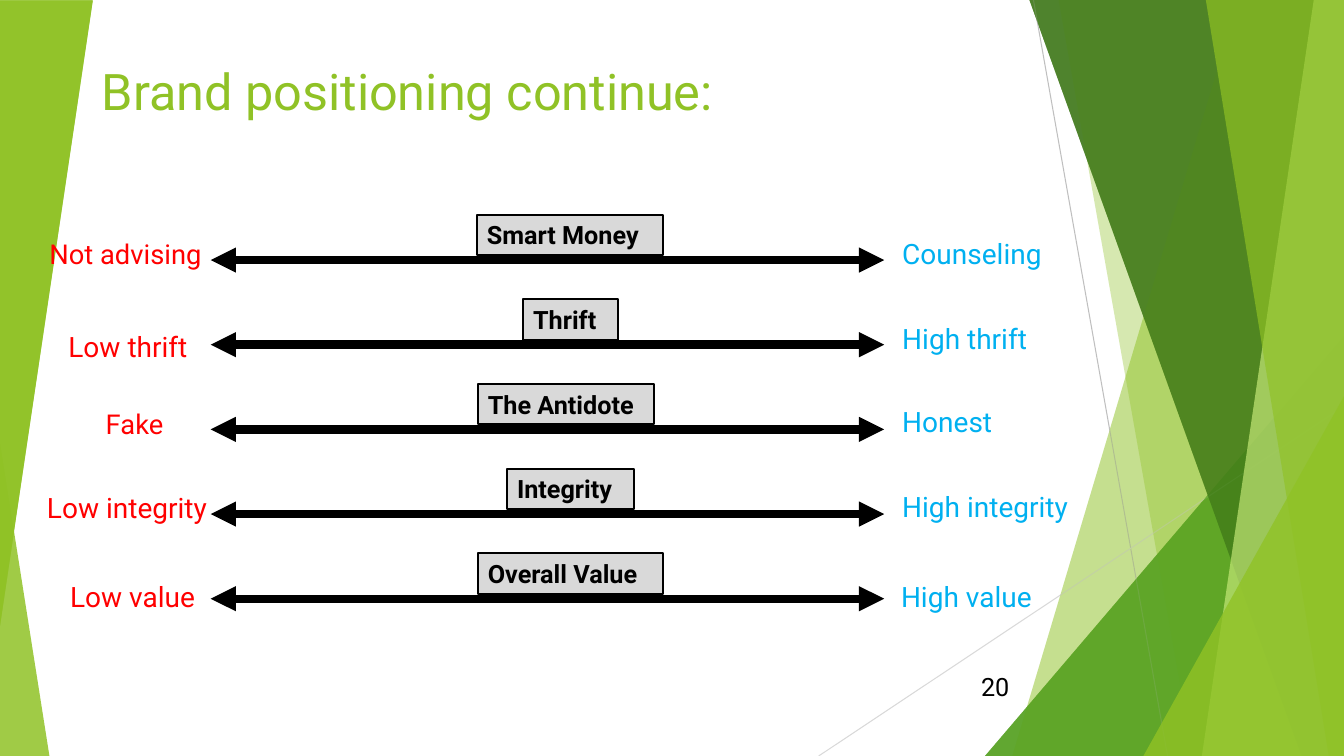
from collections import namedtuple

from lxml import etree
from pptx import Presentation
from pptx import util as u
from pptx.dml.color import RGBColor
from pptx.enum import shapes, text
from pptx.oxml import ns

LIME = RGBColor(0x90, 0xC2, 0x26)
GREEN = RGBColor(0x54, 0xA0, 0x21)
FOREST = RGBColor(0x3F, 0x78, 0x19)
PALE_LIME = RGBColor(0xC0, 0xE4, 0x74)
BLACK = RGBColor(0, 0, 0)
TAG_GREY = RGBColor(0xD9, 0xD9, 0xD9)
LINE_GREY = RGBColor(0xBF, 0xBF, 0xBF)
RED = RGBColor(0xFF, 0, 0)
BLUE = RGBColor(0, 0xB0, 0xF0)
FONT = "Roboto"
LEFT, CENTER, RIGHT = text.PP_ALIGN.LEFT, text.PP_ALIGN.CENTER, text.PP_ALIGN.RIGHT
TOP, MIDDLE, BOTTOM = text.MSO_ANCHOR.TOP, text.MSO_ANCHOR.MIDDLE, text.MSO_ANCHOR.BOTTOM

Box = namedtuple("Box", "left top width height")
Label = namedtuple("Label", "words left bottom width size align")
Tag = namedtuple("Tag", "words left width")

SCALES = [
    (Label("Not advising", 0.1, 0.15, 1.85, 19.5, LEFT), Tag("Smart Money", 4.44, 1.85),
     Label("Counseling", 8.56, 0.15, 1.85, 20, LEFT)),
    (Label("Low thrift", 0.29, 0.23, 1.65, 20, LEFT), Tag("Thrift", 4.9, 0.94),
     Label("High thrift", 8.56, 0.15, 1.85, 20, LEFT)),
    (Label("Fake", 0.66, 0.15, 0.91, 19.5, LEFT), Tag("The Antidote", 4.45, 1.75),
     Label("Honest", 8.56, 0.14, 1.85, 20, LEFT)),
    (Label("Low integrity", 0, 0.15, 1.94, 20, CENTER), Tag("Integrity", 4.74, 1.26),
     Label("High integrity", 8.56, 0.14, 1.97, 20, LEFT)),
    (Label("Low value", 0.1, 0.19, 1.85, 20, CENTER), Tag("Overall Value", 4.45, 1.84),
     Label("High value", 8.37, 0.19, 1.85, 20, CENTER)),
]


def inches(box):
    """Convert the numbers of a box to lengths."""
    return [u.Inches(value) for value in box]


def paint(shape, color, opacity=100):
    """Give a shape a plain fill without outline or shadow."""
    shape.shadow.inherit = False
    shape.line.fill.background()
    shape.fill.solid()
    shape.fill.fore_color.rgb = color
    if opacity < 100:
        fill = shape.fill._xPr.find(ns.qn("a:solidFill"))
        etree.SubElement(fill[0], ns.qn("a:alpha"), val=str(opacity * 1000))


def write(shape, words, size, color, align=LEFT, anchor=BOTTOM, bold=False):
    """Set the single paragraph of a shape."""
    frame = shape.text_frame
    frame.word_wrap = True
    frame.vertical_anchor = anchor
    para = frame.paragraphs[0]
    para.text = words
    para.alignment = align
    font = para.font
    font.name, font.size, font.bold = FONT, u.Pt(size), bold
    font.color.rgb = color


def add_text(page, box, *args, **options):
    """Add a text box."""
    write(page.shapes.add_textbox(*inches(box)), *args, **options)


def add_line(page, start, end, color, width, arrows=False):
    """Add a straight line, with arrowheads at both ends if asked."""
    line = page.shapes.add_connector(
        shapes.MSO_CONNECTOR.STRAIGHT, *inches(start + end))
    line.line.color.rgb = color
    line.line.width = u.Pt(width)
    if arrows:
        outline = line.line._get_or_add_ln()
        for name in ("a:headEnd", "a:tailEnd"):
            etree.SubElement(outline, ns.qn(name), type="triangle")
    etree.SubElement(line._element.spPr, ns.qn("a:effectLst"))


def add_triangle(page, box, apex, color, opacity, rotation=0):
    """Add a translucent triangle with its apex at the given share of the width."""
    triangle = page.shapes.add_shape(
        shapes.MSO_SHAPE.ISOSCELES_TRIANGLE, *inches(box))
    triangle.adjustments[0] = apex
    triangle.rotation = rotation
    paint(triangle, color, opacity)


def add_facet(page, box, top_left, bottom_left, color, opacity):
    """Add a slanted pane that reaches the right side of the box."""
    right, bottom = box.left + box.width, box.top + box.height
    builder = page.shapes.build_freeform(
        *inches((box.left + top_left, box.top)), scale=1.0)
    corners = [(right, box.top), (right, bottom), (box.left + bottom_left, bottom)]
    builder.add_line_segments([inches(corner) for corner in corners], close=True)
    paint(builder.convert_to_shape(), color, opacity)


def add_right_facets(page, box):
    """Draw the layered green panes of the right side."""
    def corner_triangle(width, height, color, opacity):
        """Add a triangle in the bottom right corner of the box."""
        corner = Box(box.left + box.width - width, box.top + box.height - height,
                     width, height)
        add_triangle(page, corner, 1, color, opacity)

    add_facet(page, box, 2.51, 0.27, LIME, 30)
    add_facet(page, box, 0.73, 2.06, LIME, 20)
    corner_triangle(3.56, 4.17, GREEN, 72)
    add_facet(page, box, 0.44, 3.14, FOREST, 70)
    add_facet(page, box, 3.26, 2.15, PALE_LIME, 70)
    add_facet(page, box, 2.19, 3.41, LIME, 65)
    corner_triangle(1.99, 3.57, LIME, 80)


def add_backdrop(page, box):
    """Draw the green decoration on both sides of the page."""
    right, bottom = box.left + box.width, box.top + box.height
    facets = Box(right - 3.56, box.top, 3.56, box.height)
    add_right_facets(page, facets)
    add_triangle(page, Box(box.left, bottom - 3.11, 0.49, 3.11), 0, LIME, 85)
    add_line(page, (right - 3.08, box.top), (right - 1.75, bottom), LINE_GREY, 0.75)
    add_line(page, (right, bottom - 3.47), (right - 5.21, bottom), TAG_GREY, 0.75)
    add_right_facets(page, facets)
    for layer in range(2):
        add_triangle(page, Box(box.left, box.top + layer * 0.01, 0.92, 6.2),
                     1, LIME, 85, rotation=180)


def add_scale(page, box, low, tag, high):
    """Draw one two-way arrow along the bottom of the box with its labels and tag."""
    axis = box.top + box.height
    add_line(page, (box.left + 1.8, axis), (box.left + 8.48, axis), BLACK, 6, arrows=True)
    for label, color, height in ((low, RED, 0.56), (high, BLUE, 0.4)):
        place = Box(box.left + label.left, axis + label.bottom - height,
                    label.width, height)
        add_text(page, place, label.words, label.size, color, label.align)
    plate = page.shapes.add_shape(
        shapes.MSO_SHAPE.RECTANGLE,
        *inches((box.left + tag.left, box.top, tag.width, 0.4)))
    paint(plate, TAG_GREY)
    plate.line.color.rgb = BLACK
    plate.line.width = u.Pt(1.5)
    write(plate, tag.words, 18, BLACK, bold=True)


def add_scales(page, box):
    """Stack the positioning scales evenly in the box."""
    step = box.height / len(SCALES)
    for index, scale in enumerate(SCALES):
        row = Box(box.left, box.top + index * step, box.width, 0.45)
        add_scale(page, row, *scale)


def main():
    """Build the deck and save it."""
    deck = Presentation()
    deck.slide_width, deck.slide_height = inches((13.33, 7.5))
    page = deck.slides.add_slide(deck.slide_layouts[6])
    add_backdrop(page, Box(0, 0, 13.33, 7.5))
    add_text(page, Box(9.36, 6.61, 0.75, 0.4), "20", 18, BLACK, RIGHT, MIDDLE)
    add_text(page, Box(0.91, 0.55, 7.57, 0.76), "Brand positioning continue:",
             36, LIME, anchor=TOP)
    add_scales(page, Box(0.29, 2.13, 10.53, 4.2))
    deck.save("out.pptx")


if __name__ == "__main__":
    main()
